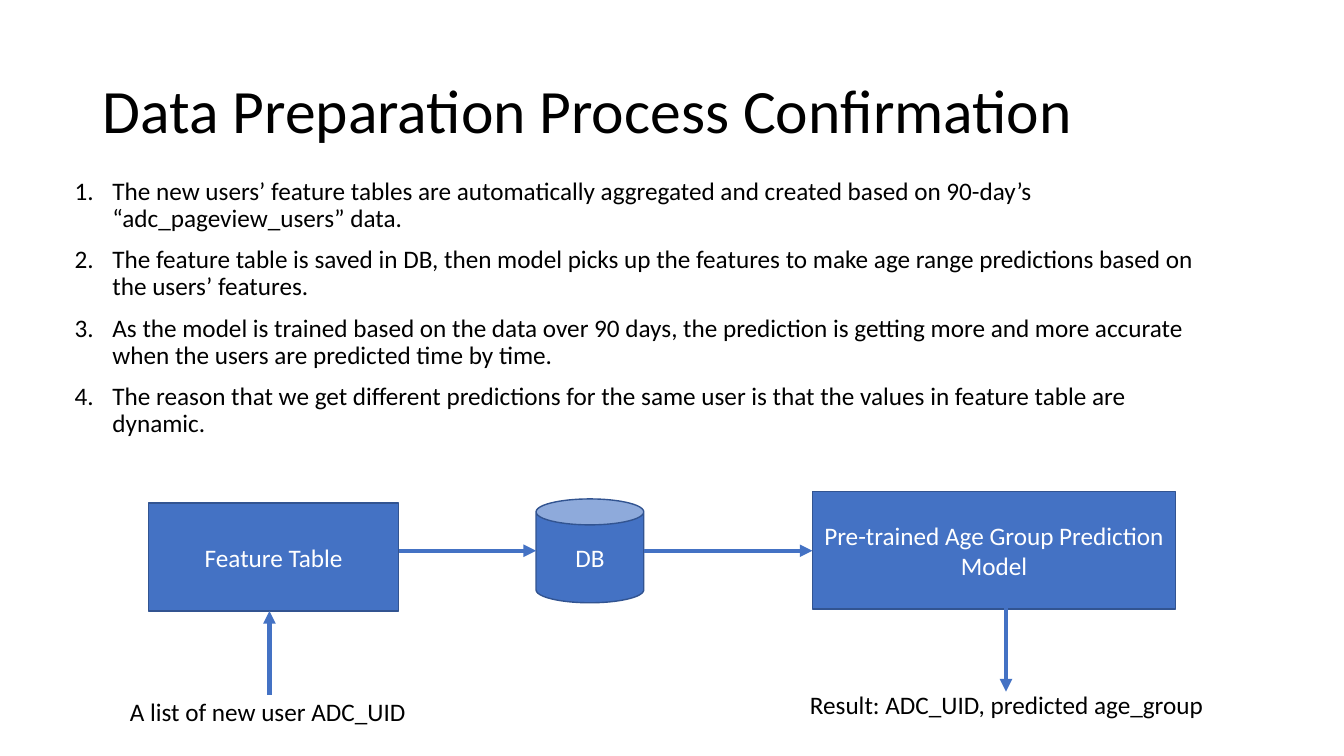
from lxml.etree import SubElement
from pptx import Presentation
from pptx.dml.color import RGBColor
from pptx.enum.shapes import MSO_CONNECTOR, MSO_SHAPE
from pptx.enum.text import MSO_ANCHOR, MSO_AUTO_SIZE, PP_ALIGN
from pptx.oxml.ns import qn
from pptx.util import Pt

BLUE = RGBColor(0x44, 0x72, 0xC4)
EDGE = RGBColor(0x32, 0x54, 0x91)
BLACK = RGBColor(0, 0, 0)
WHITE = RGBColor(0xFF, 0xFF, 0xFF)
FONT = "Calibri"

STEPS = [
    "The new users’ feature tables are automatically aggregated and created "
    "based on 90-day’s “adc_pageview_users” data.",
    "The feature table is saved in DB, then model picks up the features to "
    "make age range predictions based on the users’ features.",
    "As the model is trained based on the data over 90 days, the prediction is "
    "getting more and more accurate when the users are predicted time by time.",
    "The reason that we get different predictions for the same user is that "
    "the values in feature table are dynamic.",
]


def place(shape, left, top, width, height):
    shape.left, shape.top = Pt(left), Pt(top)
    shape.width, shape.height = Pt(width), Pt(height)


def add_run(para, text, color=BLACK, size=18):
    run = para.add_run()
    run.text = text
    run.font.name = FONT
    run.font.size = Pt(size)
    run.font.color.rgb = color


def add_title(slide, text):
    title = slide.shapes.title
    place(title, 66, 28.8, 828, 104.4)
    frame = title.text_frame
    frame.auto_size = MSO_AUTO_SIZE.NONE
    frame.vertical_anchor = MSO_ANCHOR.MIDDLE
    para = frame.paragraphs[0]
    para.alignment = PP_ALIGN.LEFT
    para.line_spacing = 0.9
    add_run(para, text, size=44)


def add_list(slide, items):
    body = slide.placeholders[1]
    place(body, 46.1, 123.8, 828, 218.9)
    frame = body.text_frame
    frame.auto_size = MSO_AUTO_SIZE.NONE
    for i, item in enumerate(items):
        para = frame.add_paragraph() if i else frame.paragraphs[0]
        para.line_spacing = 0.9
        para.space_before = Pt(10)
        add_run(para, item)
        # Hanging indent with automatic numbers
        props = para._p.get_or_add_pPr()
        props.set("marL", str(Pt(27)))
        props.set("indent", str(Pt(-27)))
        SubElement(props, qn("a:buFont"), typeface="+mj-lt")
        SubElement(props, qn("a:buAutoNum"), type="arabicPeriod")


def add_node(slide, kind, text, *box):
    node = slide.shapes.add_shape(kind, *map(Pt, box))
    node.shadow.inherit = False
    node.fill.solid()
    node.fill.fore_color.rgb = BLUE
    node.line.color.rgb = EDGE
    node.line.width = Pt(1)
    frame = node.text_frame
    frame.word_wrap = True
    frame.vertical_anchor = MSO_ANCHOR.MIDDLE
    para = frame.paragraphs[0]
    para.alignment = PP_ALIGN.CENTER
    add_run(para, text, WHITE)


def add_arrow(slide, *ends):
    arrow = slide.shapes.add_connector(MSO_CONNECTOR.STRAIGHT, *map(Pt, ends))
    arrow.line.color.rgb = BLUE
    arrow.line.width = Pt(3)
    SubElement(arrow.line._get_or_add_ln(), qn("a:tailEnd"), type="triangle")
    SubElement(arrow._element.spPr, qn("a:effectLst"))


def add_label(slide, text, align, *box):
    label = slide.shapes.add_textbox(*map(Pt, box))
    frame = label.text_frame
    frame.word_wrap = False
    frame.auto_size = MSO_AUTO_SIZE.SHAPE_TO_FIT_TEXT
    para = frame.paragraphs[0]
    para.alignment = align
    add_run(para, text)


def main():
    deck = Presentation()
    deck.slide_width, deck.slide_height = Pt(960), Pt(540)
    slide = deck.slides.add_slide(deck.slide_layouts[1])

    # Title and numbered steps
    add_title(slide, "Data Preparation Process Confirmation")
    add_list(slide, STEPS)

    # Stages of the flow
    add_node(slide, MSO_SHAPE.RECTANGLE, "Pre-trained Age Group Prediction Model",
             580.3, 351.2, 259.4, 83.8)
    add_node(slide, MSO_SHAPE.RECTANGLE, "Feature Table",
             106.1, 359.3, 178.8, 77.2)
    add_node(slide, MSO_SHAPE.CAN, "DB", 382.9, 356.4, 77, 74.2)

    # Arrows: input, two links, result
    add_arrow(slide, 192.5, 496.1, 192.5, 436.5)
    add_arrow(slide, 284.9, 393.4, 382.9, 393.4)
    add_arrow(slide, 459.9, 393.4, 580.3, 393.4)
    add_arrow(slide, 718.6, 434.5, 718.6, 494)

    # Input and result labels
    add_label(slide, "A list of new user ADC_UID", PP_ALIGN.LEFT,
              85.7, 494, 213.8, 29)
    add_label(slide, "Result: ADC_UID, predicted age_group", PP_ALIGN.CENTER,
              566, 489, 306, 29)

    deck.save("out.pptx")


if __name__ == "__main__":
    main()
